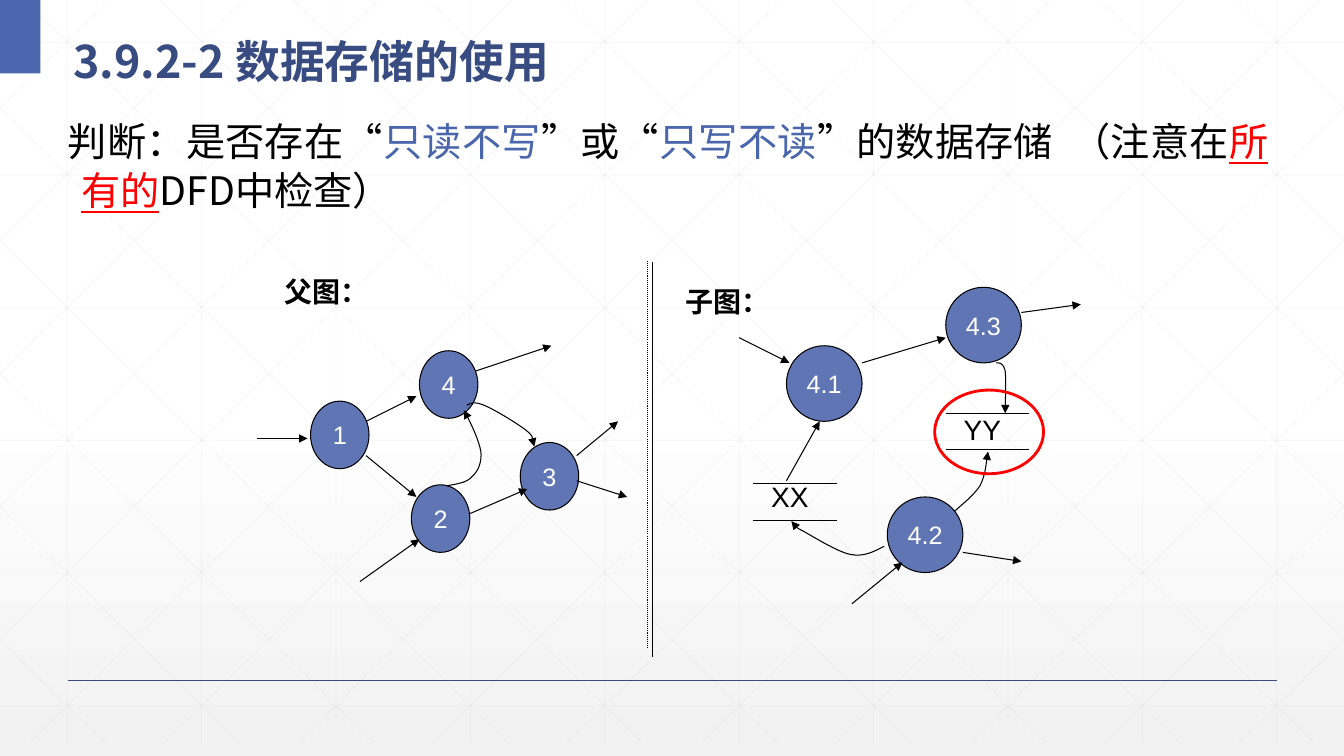
from lxml import etree
from pptx import Presentation
from pptx import util as u
from pptx.dml.color import RGBColor
from pptx.enum import dml, shapes, text
from pptx.oxml import ns

BLACK = RGBColor(0, 0, 0)
WHITE = RGBColor(255, 255, 255)
PALE = RGBColor(0xF2, 0xF2, 0xF2)
GRID = RGBColor(0xD9, 0xD9, 0xD9)
NAVY = RGBColor(0x38, 0x4C, 0x81)
BLUE = RGBColor(0x4A, 0x66, 0xAC)
NODE = RGBColor(0x60, 0x76, 0xB4)
RED = RGBColor(255, 0, 0)
HAN = "Noto Sans CJK SC"
WIDTH, HEIGHT, GRID_BOTTOM = 13.33, 7.5, 7.37

PROCESSES = [
    ("1", 3.08, 3.98, 0.58, 0.67), ("4", 4.16, 3.48, 0.58, 0.67),
    ("2", 4.08, 4.81, 0.58, 0.67), ("3", 5.16, 4.39, 0.58, 0.67),
    ("4.1", 7.8, 3.43, 0.75, 0.75), ("4.3", 9.38, 2.85, 0.75, 0.75),
    ("4.2", 8.8, 4.93, 0.75, 0.75),
]
FLOWS = [
    (2.55, 4.35, 3.05, 4.35), (3.57, 5.77, 4.16, 5.35), (4.65, 5.1, 5.23, 4.85),
    (5.72, 4.52, 6.13, 4.18), (5.72, 4.77, 6.22, 4.93), (4.72, 3.68, 5.47, 3.43),
    (3.63, 4.18, 4.13, 3.93), (3.63, 4.52, 4.13, 4.93), (7.33, 3.35, 7.83, 3.6),
    (10.13, 3.1, 10.72, 3.02), (8.45, 5.99, 8.95, 5.58), (9.55, 5.48, 10.13, 5.57),
    (7.8, 4.77, 8.13, 4.18), (8.55, 3.6, 9.38, 3.35),
]
CURVED_FLOWS = [
    [(4.63, 4.02), (4.67, 4), (4.7, 3.98), (4.8, 4.02), (4.9, 4.06), (5.13, 4.2),
     (5.22, 4.27), (5.3, 4.34), (5.29, 4.41), (5.3, 4.43)],
    [(4.43, 4.82), (4.53, 4.8), (4.63, 4.79), (4.68, 4.73), (4.74, 4.68),
     (4.78, 4.59), (4.77, 4.48), (4.75, 4.37), (4.64, 4.13), (4.6, 4.07)],
    [(9.47, 5.07), (9.56, 4.99), (9.66, 4.91), (9.72, 4.82), (9.77, 4.72),
     (9.79, 4.54), (9.8, 4.48)],
    [(9.88, 3.6), (9.92, 3.6), (9.95, 3.6), (9.97, 3.68), (9.98, 3.77),
     (9.97, 4.03), (9.97, 4.1)],
    [(8.77, 5.42), (8.67, 5.47), (8.57, 5.53), (8.43, 5.5), (8.29, 5.47),
     (8.03, 5.3), (7.93, 5.25), (7.83, 5.19), (7.86, 5.18), (7.85, 5.17)],
]


def cm(*inches):
    return [u.Cm(v * 2.54) for v in inches]


def apply(obj, values):
    for name, value in values.items():
        setattr(obj, name, value)


def style_line(sp, color, width, arrow=False, alpha=None, dash=None):
    sp.line.color.rgb = color
    apply(sp.line, {"width": u.Pt(width), "dash_style": dash})
    ln = sp._element.spPr.find(ns.qn("a:ln"))
    if alpha:
        clr = ln.find(".//" + ns.qn("a:srgbClr"))
        etree.SubElement(clr, ns.qn("a:alpha"), val=str(alpha * 1000))
    if arrow:
        etree.SubElement(ln, ns.qn("a:tailEnd"), type="triangle")


def add_line(s, ends, color=BLACK, width=0.75, **options):
    sp = s.shapes.add_connector(shapes.MSO_CONNECTOR.STRAIGHT, *cm(*ends))
    style_line(sp, color, width, **options)
    etree.SubElement(sp._element.spPr, ns.qn("a:effectLst"))


def add_curve(s, points):
    fb = s.shapes.build_freeform(*cm(*points[0]))
    fb.add_line_segments([cm(*point) for point in points[1:]], close=False)
    sp = fb.convert_to_shape()
    segments = list(sp._element.iter(ns.qn("a:lnTo")))
    outline = segments[0].getparent()
    for i in range(0, len(segments), 3):
        bezier = etree.SubElement(outline, ns.qn("a:cubicBezTo"))
        for segment in segments[i:i + 3]:
            bezier.append(segment[0])
            outline.remove(segment)
    sp.shadow.inherit = False
    sp.fill.background()
    style_line(sp, BLACK, 0.75, arrow=True)


def add_preset(s, kind, box, fill=None, line=None, width=0.75):
    sp = s.shapes.add_shape(kind, *cm(*box))
    sp.shadow.inherit = False
    if fill is None:
        sp.fill.background()
    else:
        sp.fill.solid()
        sp.fill.fore_color.rgb = fill
    if line is None:
        sp.line.fill.background()
    else:
        style_line(sp, line, width)
    return sp


def write(sp, runs, wrap=True, frame=None, paragraph=None, **font):
    tf = sp.text_frame
    apply(tf, {"word_wrap": wrap, "vertical_anchor": text.MSO_ANCHOR.MIDDLE, **(frame or {})})
    p = tf.paragraphs[0]
    apply(p, paragraph or {})
    for words, color, extra in runs:
        r = p.add_run()
        r.text = words
        apply(r.font, {"name": "Arial", **font, **extra})
        r.font.color.rgb = color
        etree.SubElement(r._r.get_or_add_rPr(), ns.qn("a:ea"), typeface=HAN)
    return p


def add_text(s, box, runs, **options):
    return write(s.shapes.add_textbox(*cm(*box)), runs, **options)


def add_process(s, label, *box):
    sp = add_preset(s, shapes.MSO_SHAPE.FLOWCHART_CONNECTOR, box, NODE, BLACK)
    write(sp, [(label, WHITE, {})], wrap=False, size=u.Pt(18),
          paragraph={"alignment": text.PP_ALIGN.CENTER})


def add_store(s, name, left, top, text_top):
    for y in (top, top + 0.36):
        add_line(s, (left, y, left + 0.83, y))
    add_text(s, (left + 0.08, text_top, 0.75, 0.43), [(name, BLACK, {})], size=u.Pt(20))


def add_backdrop(s):
    fill = s.background.fill
    fill.gradient()
    fill.gradient_angle = 270
    for stop, color, position in zip(fill.gradient_stops, (WHITE, PALE), (0.53, 1)):
        stop.color.rgb = color
        stop.position = position
    step = WIDTH / 10
    lines = [(x, 0, x, GRID_BOTTOM) for x in (step * (i + 0.5) for i in range(10))]
    lines += [(0, y, WIDTH, y) for y in (0.42 + 1.316 * i for i in range(6))]
    run = 7.455
    slope = GRID_BOTTOM / run
    for i in range(-5, 10):
        x = 0.25 + step * i
        x1, x2 = max(x, 0), min(x + run, WIDTH)
        y1, y2 = (x1 - x) * slope, (x2 - x) * slope
        lines += [(x1, y1, x2, y2), (WIDTH - x1, y1, WIDTH - x2, y2)]
    for ends in lines:
        add_line(s, ends, GRID, 0.5, alpha=25)
    add_line(s, (0.67, 6.75, 12.67, 6.75), NAVY, 1)
    add_preset(s, shapes.MSO_SHAPE.RECTANGLE, (0, 0, 0.4, 0.73), BLUE)


def add_headings(s):
    add_text(s, (0.63, 0.12, 11.66, 0.73), [("3.9.2-2 数据存储的使用", NAVY, {})],
             frame={"margin_top": u.Cm(0.33)}, paragraph={"line_spacing": 1.3},
             name=HAN, size=u.Pt(32), bold=True)
    p = add_text(s, (0.33, 1, 12.35, 1.33), [
        ("判断：是否存在“", BLACK, {}), ("只读不写", BLUE, {}), ("”或“", BLACK, {}),
        ("只写不读", BLUE, {}), ("”的数据存储  （注意在", BLACK, {}),
        ("所有的", RED, {"underline": True}), ("DFD中检查）", BLACK, {}),
    ], frame={"margin_bottom": u.Cm(0.28)},
        paragraph={"alignment": text.PP_ALIGN.JUSTIFY, "line_spacing": u.Pt(35)},
        name=HAN, size=u.Pt(28))
    for key, value in {"marL": u.Cm(0.96), "indent": u.Cm(-0.34)}.items():
        p._p.get_or_add_pPr().set(key, str(value))
    for label, left, top in (("父图：", 2.72, 2.68), ("子图：", 6.7, 2.77)):
        add_text(s, (left, top, 0.92, 0.43), [(label, BLACK, {})], size=u.Pt(20), bold=True)


def main():
    prs = Presentation()
    prs.slide_width, prs.slide_height = cm(WIDTH, HEIGHT)
    s = prs.slides.add_slide(prs.slide_layouts[6])
    add_backdrop(s)
    add_headings(s)
    add_line(s, (6.47, 2.6, 6.47, 6.52))
    add_line(s, (6.42, 2.59, 6.42, 6.42), dash=dml.MSO_LINE.ROUND_DOT)
    for process in PROCESSES:
        add_process(s, *process)
    add_store(s, "XX", 7.47, 4.8, 4.71)
    add_store(s, "YY", 9.38, 4.1, 4.04)
    for ends in FLOWS:
        add_line(s, ends, arrow=True)
    for points in CURVED_FLOWS:
        add_curve(s, points)
    add_preset(s, shapes.MSO_SHAPE.OVAL, (9.27, 3.87, 1.08, 0.83), line=RED, width=2)
    prs.save("out.pptx")


if __name__ == "__main__":
    main()
